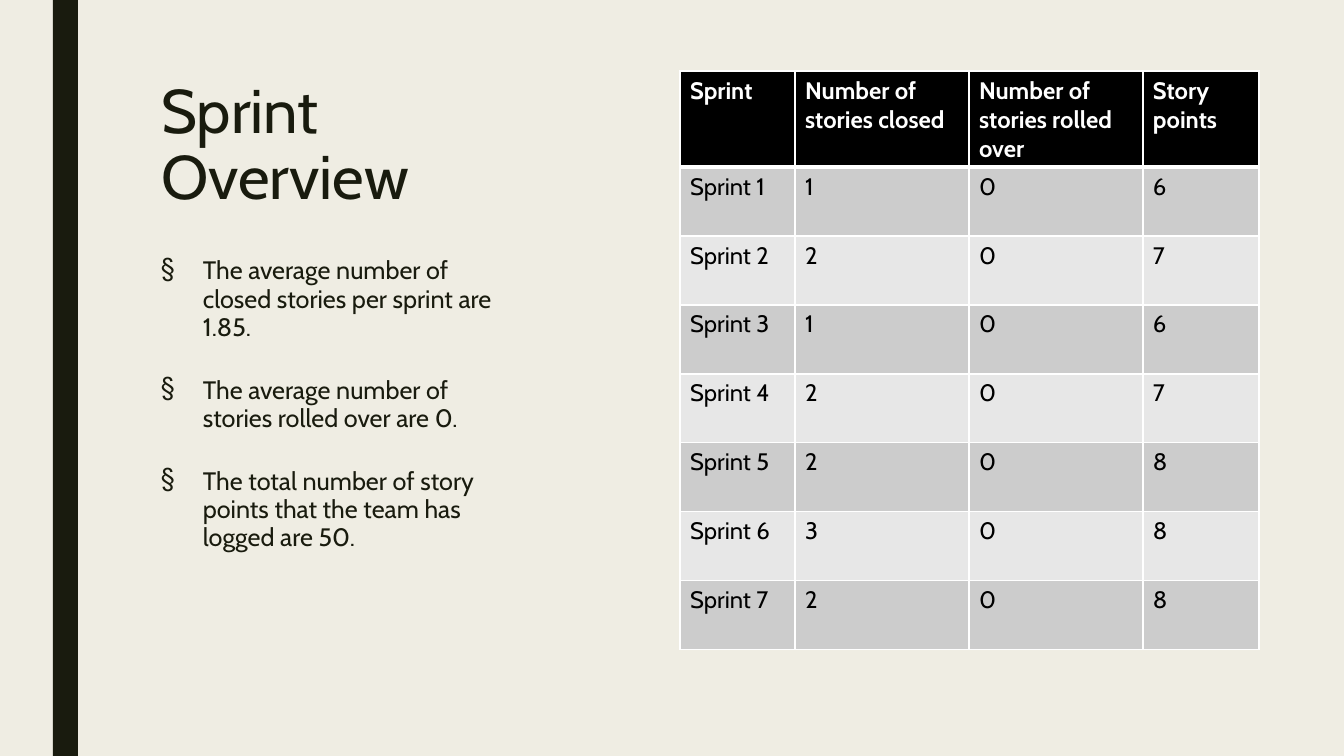
from dataclasses import dataclass

from lxml.etree import SubElement
from pptx import Presentation
from pptx.dml.color import RGBColor
from pptx.enum.shapes import MSO_SHAPE
from pptx.enum.text import MSO_ANCHOR, MSO_AUTO_SIZE, PP_ALIGN
from pptx.oxml import parse_xml
from pptx.oxml.ns import nsdecls, qn
from pptx.slide import Slide
from pptx.table import _Cell
from pptx.text.text import _Paragraph
from pptx.util import Emu, Pt


@dataclass(frozen=True)
class Theme:
    font: str = "Cabin"
    paper: str = "EFEDE3"
    ink: str = "191B0E"
    white: str = "FFFFFF"
    black: str = "000000"
    bands: tuple[str, str] = ("CCCCCC", "E7E7E7")
    title_size: int = 44
    body_size: int = 18
    table_size: int = 17


@dataclass(frozen=True)
class Box:
    left: int
    top: int
    width: int
    height: int

    def emu(self) -> tuple[Emu, Emu, Emu, Emu]:
        return px(self.left), px(self.top), px(self.width), px(self.height)


@dataclass(frozen=True)
class Sprint:
    name: str
    closed: int
    rolled_over: int
    points: int

    def texts(self) -> list[str]:
        return [self.name, str(self.closed), str(self.rolled_over), str(self.points)]


THEME = Theme()
SLIDE_W, SLIDE_H = 1344, 756
BAR = Box(53, 0, 25, SLIDE_H)
TITLE = Box(151, 76, 362, 163)
FINDINGS = Box(151, 252, 362, 395)
TABLE = Box(680, 71, 579, 579)
BULLET_INDENT = 42
COLUMN_WIDTHS = (115, 174, 174, 116)
HEADER_HEIGHT, ROW_HEIGHT = 96, 69

FINDING_TEXTS = (
    "The average number of closed stories per sprint are 1.85.",
    "The average number of stories rolled over are 0.",
    "The total number of story points that the team has logged are 50.",
)
HEADERS = ["Sprint", "Number of stories closed", "Number of stories rolled over", "Story points"]
CLOSED = (1, 2, 1, 2, 2, 3, 2)
POINTS = (6, 7, 6, 7, 8, 8, 8)
SPRINTS = [
    Sprint(f"Sprint {number}", closed, 0, points)
    for number, (closed, points) in enumerate(zip(CLOSED, POINTS), start=1)
]


def px(length: int) -> Emu:
    return Emu(round(length * 914400 / 100.8))


def rgb(color: str) -> RGBColor:
    return RGBColor.from_string(color)


def add_run(p: _Paragraph, text: str, size: int, color: str, bold: bool = False) -> None:
    r = p.add_run()
    r.text = text
    r.font.name = THEME.font
    r.font.size = Pt(size)
    r.font.bold = bold
    r.font.color.rgb = rgb(color)


def add_bar(s: Slide) -> None:
    sp = s.shapes.add_shape(MSO_SHAPE.RECTANGLE, *BAR.emu())
    sp.shadow.inherit = False
    sp.fill.solid()
    sp.fill.fore_color.rgb = rgb(THEME.ink)
    sp.line.fill.background()


def set_title(s: Slide) -> None:
    sp = s.shapes.title
    sp.left, sp.top, sp.width, sp.height = TITLE.emu()
    tf = sp.text_frame
    tf.word_wrap = True
    tf.auto_size = MSO_AUTO_SIZE.NONE
    tf.vertical_anchor = MSO_ANCHOR.TOP
    p = tf.paragraphs[0]
    p.alignment = PP_ALIGN.LEFT
    p.line_spacing = 0.89
    add_run(p, "Sprint Overview", THEME.title_size, THEME.ink)


def add_bullet(p: _Paragraph) -> None:
    pPr = p._p.get_or_add_pPr()
    pPr.set("marL", str(px(BULLET_INDENT)))
    pPr.set("indent", str(-px(BULLET_INDENT)))
    SubElement(pPr, qn("a:buChar")).set("char", "§")


def add_findings(s: Slide) -> None:
    tf = s.shapes.add_textbox(*FINDINGS.emu()).text_frame
    tf.word_wrap = True
    for i, text in enumerate(FINDING_TEXTS):
        p = tf.add_paragraph() if i else tf.paragraphs[0]
        p.line_spacing = 0.94
        p.space_after = Pt(24.4)
        add_bullet(p)
        add_run(p, text, THEME.body_size, THEME.ink)


def set_borders(cell: _Cell, top: int, bottom: int) -> None:
    """Draw white cell borders; top and bottom widths are in points."""
    tcPr = cell._tc.get_or_add_tcPr()
    widths = {"lnL": 1, "lnR": 1, "lnT": top, "lnB": bottom}
    for i, (side, width) in enumerate(widths.items()):
        tcPr.insert(i, parse_xml(
            f'<a:{side} {nsdecls("a")} w="{Pt(width)}"><a:solidFill>'
            f'<a:srgbClr val="{THEME.white}"/></a:solidFill></a:{side}>'
        ))


def add_sprint_table(s: Slide) -> None:
    rows = [HEADERS] + [sprint.texts() for sprint in SPRINTS]
    table = s.shapes.add_table(len(rows), len(HEADERS), *TABLE.emu()).table
    for column, width in zip(table.columns, COLUMN_WIDTHS):
        column.width = px(width)
    for i, texts in enumerate(rows):
        header = i == 0
        table.rows[i].height = px(HEADER_HEIGHT if header else ROW_HEIGHT)
        fill = THEME.black if header else THEME.bands[(i - 1) % 2]
        color = THEME.white if header else THEME.black
        for j, text in enumerate(texts):
            cell = table.cell(i, j)
            cell.fill.solid()
            cell.fill.fore_color.rgb = rgb(fill)
            set_borders(cell, top=3 if i == 1 else 1, bottom=3 if header else 1)
            add_run(cell.text_frame.paragraphs[0], text, THEME.table_size, color, header)


def main() -> None:
    prs = Presentation()
    prs.slide_width, prs.slide_height = px(SLIDE_W), px(SLIDE_H)
    s = prs.slides.add_slide(prs.slide_layouts.get_by_name("Title Only"))
    s.background.fill.solid()
    s.background.fill.fore_color.rgb = rgb(THEME.paper)
    add_bar(s)
    set_title(s)
    add_findings(s)
    add_sprint_table(s)
    prs.save("out.pptx")


if __name__ == "__main__":
    main()
